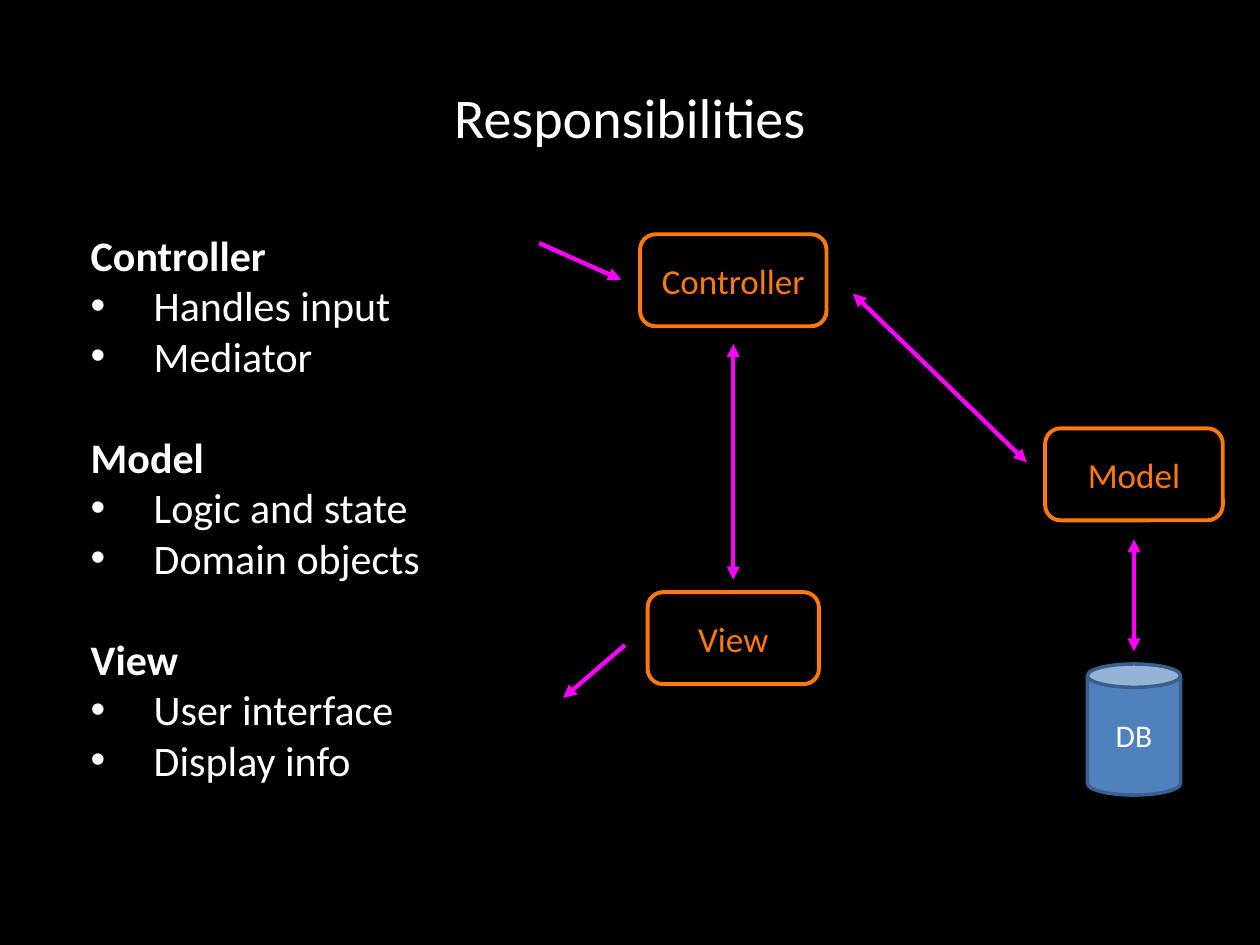
from lxml.etree import SubElement
from pptx import Presentation
from pptx.dml.color import RGBColor
from pptx.enum.shapes import MSO_CONNECTOR as CONN, MSO_SHAPE as SHAPE
from pptx.enum.text import MSO_ANCHOR as ANCHOR, MSO_AUTO_SIZE as FIT, PP_ALIGN as ALIGN
from pptx.oxml.ns import qn
from pptx.util import Inches, Pt

WHITE, BLACK, ORANGE, PINK = "FFFFFF", "000000", "FF790C", "FF00FF"
BLUE, NAVY = "4F81BD", "3A5F8C"
CELL = 0.1

GROUPS = {
    "Controller": ["Handles input", "Mediator"],
    "Model": ["Logic and state", "Domain objects"],
    "View": ["User interface", "Display info"],
}
NODE = dict(shape=SHAPE.ROUNDED_RECTANGLE, fill=None, line=ORANGE, weight=2.25, color=ORANGE, size=20)
STORE = dict(shape=SHAPE.CAN, fill=BLUE, line=NAVY, weight=2, color=WHITE, size=18)
NODES = [
    ("Controller", (16.2, 4.25), (14.8, 7.3), NODE),
    ("View", (16.2, 32.65), (13.6, 7.3), NODE),
    ("Model", (48, 19.65), (14.1, 7.3), NODE),
    ("DB", (48, 39.9), (7.4, 10.4), STORE),
]
ARROWS = [
    ((16.2, 9.3), (16.2, 28), True),
    ((25.7, 5.3), (39.5, 18.7), True),
    ((48, 24.8), (48, 33.7), True),
    ((0.8, 1.3), (7.3, 4.2), False),
    ((7.6, 33.2), (2.7, 37.4), False),
]


def rgb(value):
    return RGBColor.from_string(value)


def apply(obj, **values):
    for name, value in values.items():
        setattr(obj, name, value)


def place(sp, box):
    apply(sp, **dict(zip(("left", "top", "width", "height"), map(Inches, box))))


def write(p, text, size, color=WHITE, bold=False):
    r = p.add_run()
    r.text = text
    apply(r.font, name="Calibri", size=Pt(size), bold=bold)
    r.font.color.rgb = rgb(color)


def set_bullet(p, bulleted):
    pPr = p._p.get_or_add_pPr()
    indent = Inches(0.5) if bulleted else 0
    pPr.set("marL", str(indent))
    pPr.set("indent", str(-indent))
    if bulleted:
        SubElement(pPr, qn("a:buFont"), typeface="Arial")
        SubElement(pPr, qn("a:buChar"), char="•")
    else:
        SubElement(pPr, qn("a:buNone"))


def add_title(sp, box, text):
    place(sp, box)
    tf = sp.text_frame
    apply(tf, vertical_anchor=ANCHOR.MIDDLE, auto_size=FIT.NONE)
    p = tf.paragraphs[0]
    p.alignment = ALIGN.CENTER
    write(p, text, 32)


def add_list(sp, box, groups):
    place(sp, box)
    tf = sp.text_frame
    apply(tf, word_wrap=True, vertical_anchor=ANCHOR.TOP, auto_size=FIT.SHAPE_TO_FIT_TEXT)
    rows = [(text, i > 0) for head, items in groups.items() for i, text in enumerate([head, *items])]
    for i, (text, bulleted) in enumerate(rows):
        p = tf.add_paragraph() if i else tf.paragraphs[0]
        gap = 29 if i and not bulleted else 0
        apply(p, alignment=ALIGN.LEFT, space_before=Pt(gap), space_after=Pt(0))
        set_bullet(p, bulleted)
        write(p, text, 24, bold=not bulleted)


def add_node(s, origin, text, center, size, style):
    w, h = (n * CELL for n in size)
    x, y = (o + c * CELL for o, c in zip(origin, center))
    sp = s.shapes.add_shape(style["shape"], 0, 0, 0, 0)
    place(sp, (x - w / 2, y - h / 2, w, h))
    sp.shadow.inherit = False
    if style["fill"]:
        sp.fill.solid()
        sp.fill.fore_color.rgb = rgb(style["fill"])
    else:
        sp.fill.background()
    sp.line.color.rgb = rgb(style["line"])
    sp.line.width = Pt(style["weight"])
    tf = sp.text_frame
    apply(tf, word_wrap=True, vertical_anchor=ANCHOR.MIDDLE)
    p = tf.paragraphs[0]
    p.alignment = ALIGN.CENTER
    write(p, text, style["size"], style["color"])


def add_arrow(s, origin, start, end, double):
    points = [Inches(o + n * CELL) for point in (start, end) for o, n in zip(origin, point)]
    cx = s.shapes.add_connector(CONN.STRAIGHT, *points)
    cx.line.color.rgb = rgb(PINK)
    cx.line.width = Pt(2.5)
    ln = cx.line._get_or_add_ln()
    for tag in ("a:headEnd", "a:tailEnd") if double else ("a:tailEnd",):
        SubElement(ln, qn(tag), type="triangle")
    SubElement(cx._element.spPr, qn("a:effectLst"))


def add_diagram(s, origin):
    for node in NODES:
        add_node(s, origin, *node)
    for arrow in ARROWS:
        add_arrow(s, origin, *arrow)


def main():
    prs = Presentation()
    apply(prs, slide_width=Inches(10), slide_height=Inches(7.5))
    s = prs.slides.add_slide(prs.slide_layouts[1])
    s.background.fill.solid()
    s.background.fill.fore_color.rgb = rgb(BLACK)
    title, body = s.placeholders
    add_title(title, (0.5, 0.3, 9, 1.25), "Responsibilities")
    add_list(body, (0.62, 1.77, 3.7, 4.54), GROUPS)
    add_diagram(s, (4.2, 1.8))
    prs.save("out.pptx")


if __name__ == "__main__":
    main()
